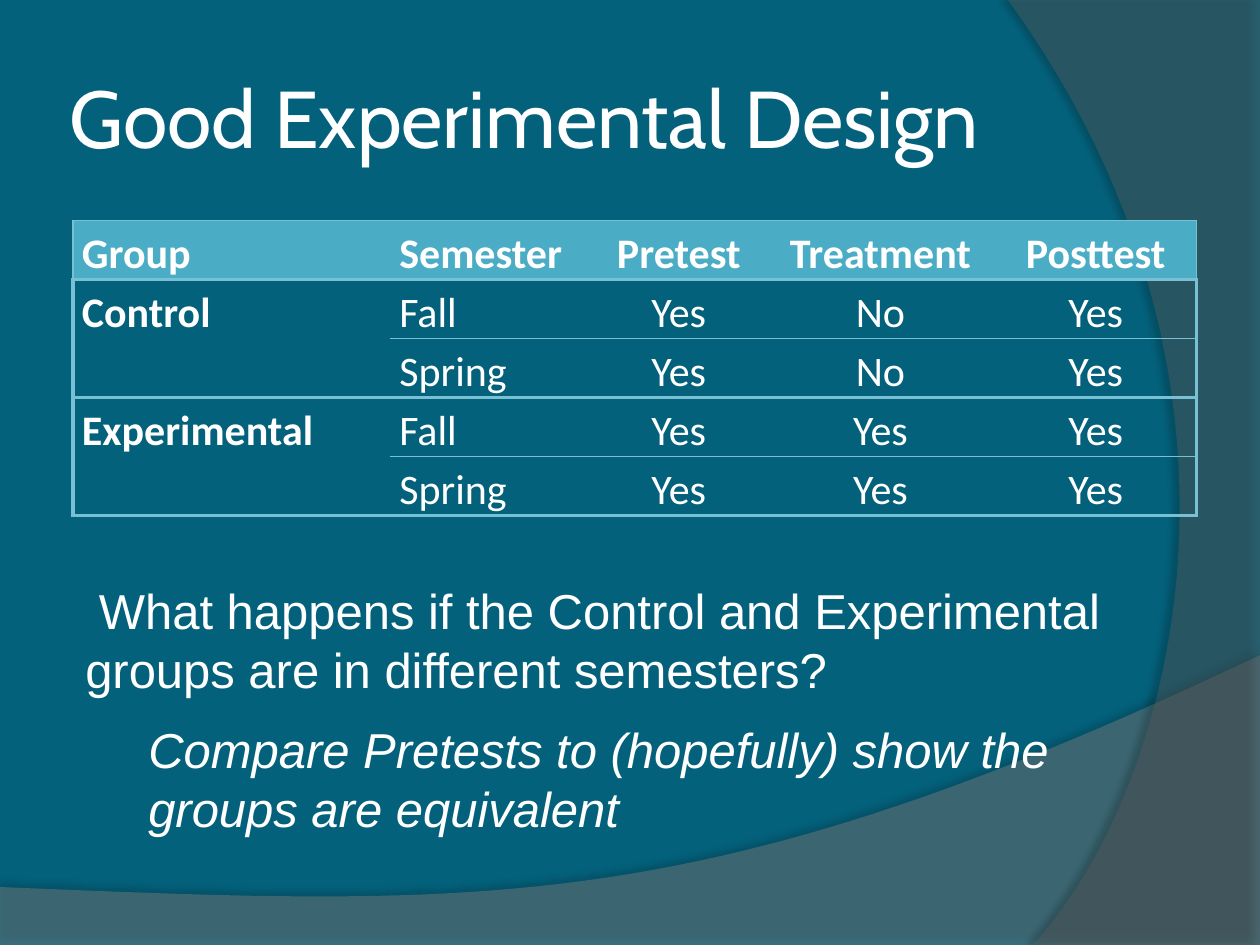
from lxml import etree
from pptx import Presentation
from pptx.dml.color import RGBColor
from pptx.enum.text import MSO_ANCHOR, PP_ALIGN
from pptx.oxml.ns import qn
from pptx.util import Cm, Pt

CENTER, LEFT = PP_ALIGN.CENTER, PP_ALIGN.LEFT
MIDDLE = MSO_ANCHOR.MIDDLE
COLORS = {
    "background": "04617B", "wave": "7F7F7F", "arc": "5E5E5E",
    "shadow": "000000", "text": "FFFFFF", "header": "4BACC6", "rule": "78C0D4",
}
THIN, THICK = 1, 2.25
COLUMN_WIDTHS = [6.4, 4.06, 3.51, 4.62, 4.06]
ROWS = [
    ["Group", "Semester", "Pretest", "Treatment", "Posttest"],
    ["Control", "Fall", "Yes", "No", "Yes"],
    ["", "Spring", "Yes", "No", "Yes"],
    ["Experimental", "Fall", "Yes", "Yes", "Yes"],
    ["", "Spring", "Yes", "Yes", "Yes"],
]


def color(name):
    """Return the named colour."""
    return RGBColor.from_string(COLORS[name])


def format_font(font, name, size, bold=False, italic=False):
    """Apply a typeface in the text colour."""
    font.name, font.size = name, Pt(size)
    font.bold, font.italic = bold, italic
    font.color.rgb = color("text")


def add_color(parent, name, alpha=100):
    """Append an RGB colour with opacity to an XML element."""
    element = etree.SubElement(parent, qn("a:srgbClr"), val=COLORS[name])
    etree.SubElement(element, qn("a:alpha"), val=str(alpha * 1000))


def curve(start, first, second, end, steps=48):
    """Return points along a cubic Bezier curve."""
    points = []
    for step in range(steps + 1):
        t = step / steps
        weights = ((1 - t) ** 3, 3 * t * (1 - t) ** 2, 3 * t * t * (1 - t), t ** 3)
        points.append(tuple(
            sum(weight * value for weight, value in zip(weights, axis))
            for axis in zip(start, first, second, end)))
    return points


def add_backdrop(slide, box, points, fill, alpha, shadow):
    """Draw a translucent outline, given in fractions of its box, behind the title."""
    left, top, width, height = box
    places = [(Cm(left + x * width), Cm(top + y * height)) for x, y in points]
    builder = slide.shapes.build_freeform(*places[0])
    builder.add_line_segments(places[1:])
    shape = builder.convert_to_shape()
    shape.fill.solid()
    shape.fill.fore_color.rgb = color(fill)
    solid = shape.element.spPr.find(qn("a:solidFill"))
    solid.clear()
    add_color(solid, fill, alpha)
    shape.line.fill.background()
    shape.shadow.inherit = False
    opacity, blur, distance, degrees = shadow
    outer = etree.SubElement(
        shape.element.spPr.find(qn("a:effectLst")), qn("a:outerShdw"),
        blurRad=str(Pt(blur)), dist=str(Pt(distance)), dir=str(degrees * 60000))
    add_color(outer, "shadow", opacity)
    slide.shapes.title.element.addprevious(shape.element)


def place_title(slide, box):
    """Fill and format the title placeholder."""
    title = slide.shapes.title
    title.left, title.top, title.width, title.height = map(Cm, box)
    frame = title.text_frame
    frame.text = "Good Experimental Design"
    frame.vertical_anchor = MIDDLE
    frame.margin_left = frame.margin_right = Cm(0.13)
    paragraph = frame.paragraphs[0]
    paragraph.alignment = LEFT
    format_font(paragraph.runs[0].font, "Cabin", 46)


def set_borders(cell, widths):
    """Set left, right, top and bottom rules; zero means none."""
    properties = cell._tc.get_or_add_tcPr()
    for side, width in zip("LRTB", widths):
        line = etree.SubElement(properties, qn(f"a:ln{side}"), w=str(Pt(width)))
        if width:
            add_color(etree.SubElement(line, qn("a:solidFill")), "rule")
        else:
            etree.SubElement(line, qn("a:noFill"))


def border_widths(row, column):
    """Return the rule widths around a table cell."""
    outer = THICK if row else THIN
    left = outer if column == 0 else 0
    right = outer if column == len(COLUMN_WIDTHS) - 1 else 0
    inner = THIN if column else 0
    top = THIN if row == 0 else THICK if row % 2 else inner
    bottom = inner if row % 2 and column else THICK
    return left, right, top, bottom


def add_design_table(slide, box):
    """Add the table of groups, semesters and tests."""
    table = slide.shapes.add_table(len(ROWS), len(COLUMN_WIDTHS), *map(Cm, box)).table
    for column, width in zip(table.columns, COLUMN_WIDTHS):
        column.width = Cm(width)
    for row, texts in enumerate(ROWS):
        for column, text in enumerate(texts):
            cell = table.cell(row, column)
            set_borders(cell, border_widths(row, column))
            if row == 0:
                cell.fill.solid()
                cell.fill.fore_color.rgb = color("header")
            else:
                cell.fill.background()
            cell.margin_left = cell.margin_right = Cm(0.18)
            cell.margin_top = cell.margin_bottom = 0
            cell.text_frame.text = text
            paragraph = cell.text_frame.paragraphs[0]
            paragraph.alignment = CENTER if column > 1 else LEFT
            paragraph.line_spacing = 1.15
            for run in paragraph.runs:
                format_font(run.font, "Calibri", 24, bold=row == 0 or column == 0)
    for row in (1, 3):
        table.cell(row, 0).merge(table.cell(row + 1, 0))


def add_question(slide, box):
    """Add the question and its indented answer."""
    frame = slide.shapes.add_textbox(*map(Cm, box)).text_frame
    frame.word_wrap = True
    question, answer = frame.paragraphs[0], frame.add_paragraph()
    question.text = " What happens if the Control and Experimental groups are in different semesters?"
    question.space_after = Pt(12)
    answer.text = "Compare Pretests to (hopefully) show the groups are equivalent"
    answer.level = 1
    answer._p.get_or_add_pPr().set("marL", str(Cm(1.27)))
    for paragraph in (question, answer):
        format_font(paragraph.runs[0].font, "Arial", 28, italic=paragraph is answer)


def main():
    """Build and save the slide."""
    presentation = Presentation()
    presentation.slide_width, presentation.slide_height = Cm(25.4), Cm(19.05)
    slide = presentation.slides.add_slide(presentation.slide_layouts[5])
    slide.background.fill.solid()
    slide.background.fill.fore_color.rgb = color("background")
    wave = [(0, 1), (1, 1)] + curve((1, 0), (0.56, 0.91), (0.39, 0.87), (0, 0.8))
    arc = [(1, 0), (1, 1)] + curve((0.1, 1), (0.68, 0.83), (1.09, 0.4), (0, 0))
    add_backdrop(slide, (0, 13.21, 25.4, 5.84), wave, "wave", 45, (35, 4, 3.5, 270))
    add_backdrop(slide, (20.32, 0, 5.08, 19.05), arc, "arc", 40, (45, 4, 4, 180))
    place_title(slide, (1.27, 0.76, 20.75, 3.18))
    add_design_table(slide, (1.47, 4.45, 22.65, 5.84))
    add_question(slide, (1.47, 11.58, 22.23, 5.46))
    presentation.save("out.pptx")


if __name__ == "__main__":
    main()
